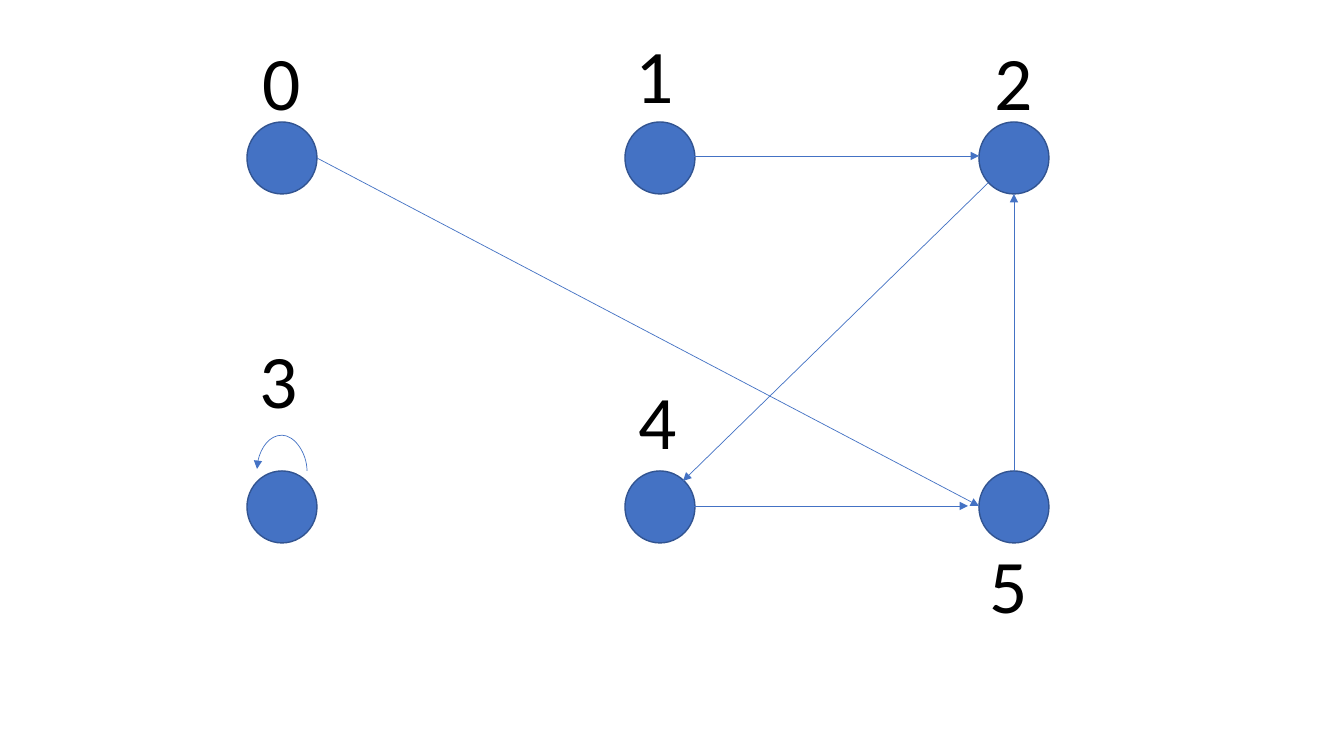
import dataclasses

import lxml.etree
import pptx
import pptx.dml.color
import pptx.enum.shapes
import pptx.enum.text
import pptx.oxml.ns
import pptx.shapes.connector
import pptx.slide
import pptx.util

EMU_PER_PX = 914400 / 100.8
NODE_FILL = pptx.dml.color.RGBColor(0x44, 0x72, 0xC4)
NODE_OUTLINE = pptx.dml.color.RGBColor(0x32, 0x54, 0x91)
LABEL_COLOR = pptx.dml.color.RGBColor(0x00, 0x00, 0x00)
NODE_WIDTH, NODE_HEIGHT = 70, 72
LABEL_WIDTH, LABEL_HEIGHT = 59, 102
COLUMNS = (247, 625, 979)
ROWS = (122, 471)


@dataclasses.dataclass(frozen=True)
class Node:
    name: str
    label_left: int
    label_top: int


@dataclasses.dataclass(frozen=True)
class Edge:
    start: tuple[int, int]
    end: tuple[int, int]


NODES = (
    Node("0", 252, 30),
    Node("1", 625, 23),
    Node("2", 984, 30),
    Node("3", 249, 328),
    Node("4", 628, 369),
    Node("5", 979, 533),
)
EDGES = (
    Edge((670, 156), (979, 156)),
    Edge((1014, 471), (1014, 194)),
    Edge((317, 158), (979, 506)),
    Edge((659, 506), (968, 506)),
    Edge((988, 183), (683, 481)),
)
# The loop on node 3 is laid out upright, then turned a three-quarter circle.
LOOP = Edge((281, 495), (283, 445))
LOOP_ROTATION = 270
LOOP_BULGE = 18


def px(length: int) -> pptx.util.Emu:
    return pptx.util.Emu(round(length * EMU_PER_PX))


def draw_node(slide: pptx.slide.Slide, left: int, top: int) -> None:
    circle = slide.shapes.add_shape(
        pptx.enum.shapes.MSO_SHAPE.OVAL,
        px(left), px(top), px(NODE_WIDTH), px(NODE_HEIGHT),
    )
    circle.shadow.inherit = False
    circle.fill.solid()
    circle.fill.fore_color.rgb = NODE_FILL
    circle.line.color.rgb = NODE_OUTLINE
    circle.line.width = pptx.util.Pt(1)


def draw_edge(
    slide: pptx.slide.Slide,
    edge: Edge,
    kind: pptx.enum.shapes.MSO_CONNECTOR = pptx.enum.shapes.MSO_CONNECTOR.STRAIGHT,
) -> pptx.shapes.connector.Connector:
    arrow = slide.shapes.add_connector(
        kind, *(px(coordinate) for coordinate in edge.start + edge.end)
    )
    arrow.line.color.rgb = NODE_FILL
    arrow.line.width = pptx.util.Pt(0.5)
    properties = arrow.element.spPr
    outline = properties.find(pptx.oxml.ns.qn("a:ln"))
    lxml.etree.SubElement(outline, pptx.oxml.ns.qn("a:tailEnd"), type="triangle")
    lxml.etree.SubElement(properties, pptx.oxml.ns.qn("a:effectLst"))
    return arrow


def draw_loop(slide: pptx.slide.Slide) -> None:
    """Draw the curved arrow from node 3 back to itself."""
    loop = draw_edge(slide, LOOP, pptx.enum.shapes.MSO_CONNECTOR.CURVE)
    properties = loop.element.spPr
    properties.find(pptx.oxml.ns.qn("a:xfrm")).set("rot", str(LOOP_ROTATION * 60000))
    adjustments = properties.find(
        f"{pptx.oxml.ns.qn('a:prstGeom')}/{pptx.oxml.ns.qn('a:avLst')}"
    )
    lxml.etree.SubElement(
        adjustments, pptx.oxml.ns.qn("a:gd"),
        name="adj1", fmla=f"val {LOOP_BULGE * 100000}",
    )


def draw_label(slide: pptx.slide.Slide, node: Node) -> None:
    label = slide.shapes.add_textbox(
        px(node.label_left), px(node.label_top), px(LABEL_WIDTH), px(LABEL_HEIGHT)
    )
    frame = label.text_frame
    frame.word_wrap = False
    frame.auto_size = pptx.enum.text.MSO_AUTO_SIZE.SHAPE_TO_FIT_TEXT
    paragraph = frame.paragraphs[0]
    paragraph.alignment = pptx.enum.text.PP_ALIGN.CENTER
    run = paragraph.add_run()
    run.text = node.name
    run.font.name = "Calibri"
    run.font.size = pptx.util.Pt(54)
    run.font.color.rgb = LABEL_COLOR


def main() -> None:
    presentation = pptx.Presentation()
    presentation.slide_width = px(1344)
    presentation.slide_height = px(756)
    slide = presentation.slides.add_slide(presentation.slide_layouts[6])
    for top in ROWS:
        for left in COLUMNS:
            draw_node(slide, left, top)
    for edge in EDGES:
        draw_edge(slide, edge)
    draw_loop(slide)
    for node in NODES:
        draw_label(slide, node)
    presentation.save("out.pptx")


if __name__ == "__main__":
    main()
